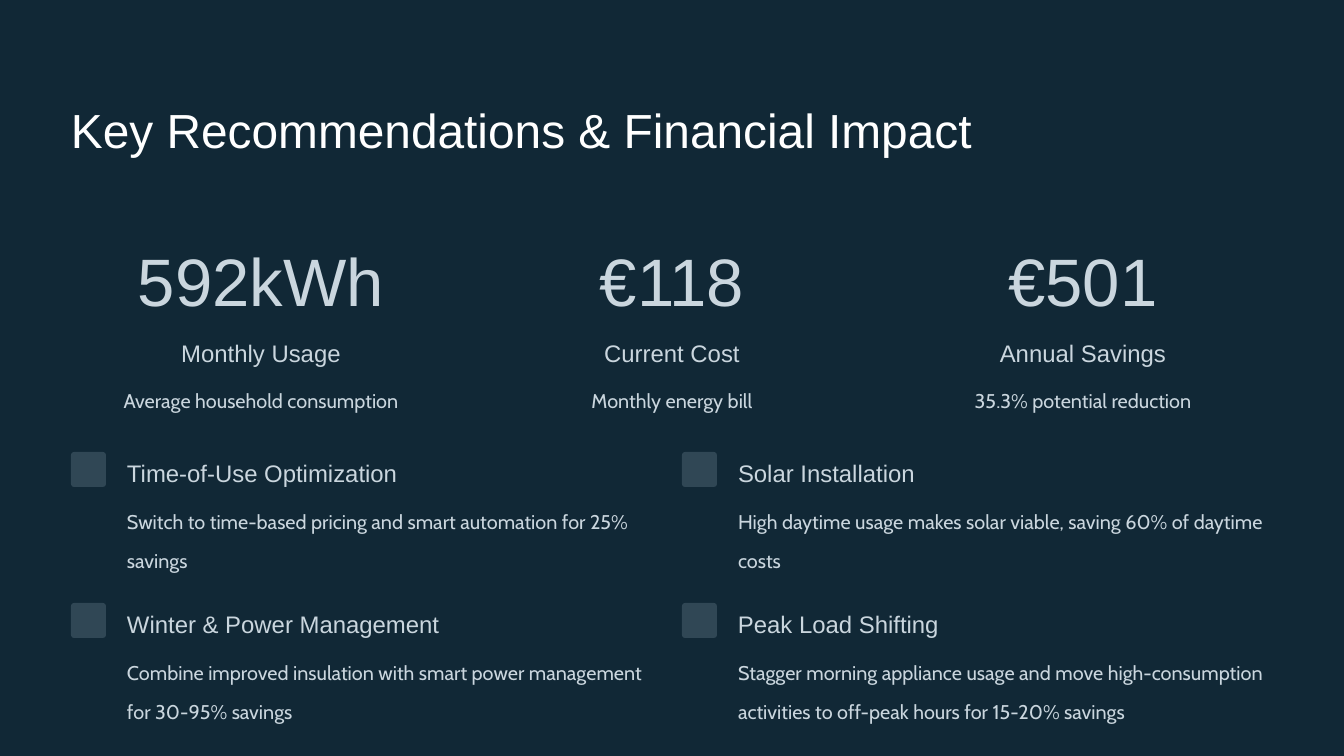
from pptx import Presentation
from pptx.dml.color import RGBColor
from pptx.enum.shapes import MSO_SHAPE
from pptx.enum.text import PP_ALIGN
from pptx.util import Emu, Pt

TITLE = "Key Recommendations & Financial Impact"
STATS = [
    ("592kWh", "Monthly Usage", "Average household consumption"),
    ("€118", "Current Cost", "Monthly energy bill"),
    ("€501", "Annual Savings", "35.3% potential reduction"),
]
TIPS = [
    ("Time-of-Use Optimization", 364,
     "Switch to time-based pricing and smart automation for 25% savings"),
    ("Solar Installation", 476,
     "High daytime usage makes solar viable, saving 60% of daytime costs"),
    ("Winter & Power Management", 509,
     "Combine improved insulation with smart power management for 30-95% savings"),
    ("Peak Load Shifting", 269,
     "Stagger morning appliance usage and move high-consumption "
     "activities to off-peak hours for 15-20% savings"),
]
NAVY, WHITE, PALE, SLATE = "112836", "FFFFFF", "CAD6DE", "304755"
HEAD = ("Arial", 41, WHITE, 1.24)
BIG = ("Arial", 57.5, PALE, 1.0)
LABEL = ("Arial", 20.5, PALE, 1.24)
BODY = ("Cabin", 17, PALE, 1.62)
LEFT = 71


def px(n):
    return Emu(round(n * 914400 / 84))


def paint(fill, color):
    fill.solid()
    fill.fore_color.rgb = RGBColor.from_string(color)


def write(text, x, y, w, h, style, align=PP_ALIGN.LEFT):
    name, size, color, lines = style
    frame = slide.shapes.add_textbox(px(x), px(y), px(w), px(h)).text_frame
    frame.margin_left = frame.margin_right = 0
    frame.margin_top = frame.margin_bottom = 0
    frame.word_wrap = True
    para = frame.paragraphs[0]
    para.text = text
    para.alignment = align
    para.line_spacing = lines
    para.font.name = name
    para.font.size = Pt(size)
    para.font.color.rgb = RGBColor.from_string(color)


def mark(x, y, side):
    box = slide.shapes.add_shape(
        MSO_SHAPE.ROUNDED_RECTANGLE, px(x), px(y), px(side), px(side))
    box.adjustments[0] = 0.09
    box.shadow.inherit = False
    paint(box.fill, SLATE)
    box.line.fill.background()


deck = Presentation()
deck.slide_width, deck.slide_height = px(1344), px(756)
slide = deck.slides.add_slide(deck.slide_layouts[6])
paint(slide.background.fill, NAVY)

write(TITLE, LEFT, 87, 1202, 60, HEAD)

for i, (value, label, note) in enumerate(STATS):
    x = LEFT + i * 411
    write(value, x, 239, 380, 67, BIG, PP_ALIGN.CENTER)
    write(label, x + 70, 332, 240, 30, LABEL, PP_ALIGN.CENTER)
    write(note, x, 374, 380, 33, BODY, PP_ALIGN.CENTER)

for i, (name, width, note) in enumerate(TIPS):
    row, col = divmod(i, 2)
    x, y = LEFT + col * 611, 452 + row * 151
    mark(x, y, 35)
    write(name, x + 56, y, width, 30, LABEL)
    write(note, x + 56, y + 43, 534, 66, BODY)

deck.save("out.pptx")
